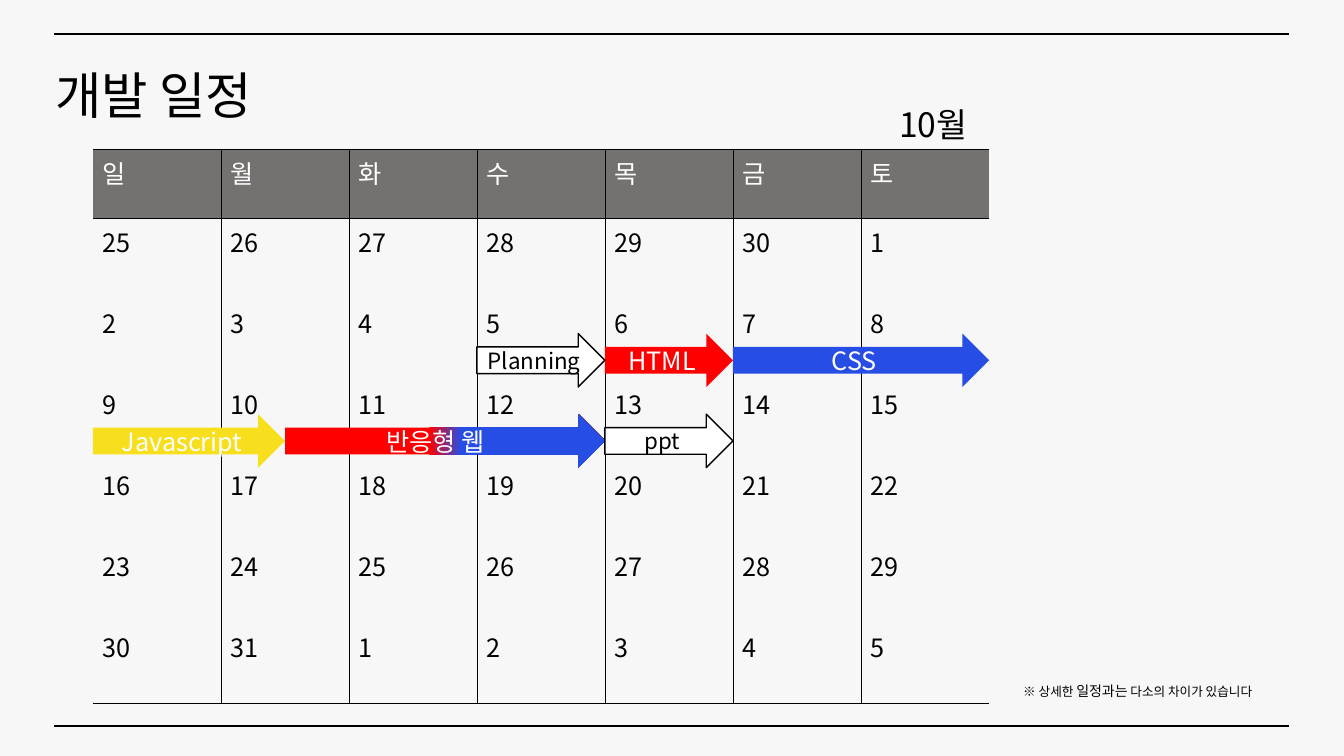
"""Build a slide with the October development calendar."""
from dataclasses import dataclass
from typing import Any, Optional

import lxml.etree
import pptx
import pptx.dml.color
import pptx.enum.shapes
import pptx.enum.text
import pptx.oxml.ns
import pptx.util

Color = pptx.dml.color.RGBColor
Anchor = pptx.enum.text.MSO_ANCHOR
Align = pptx.enum.text.PP_ALIGN
inch = pptx.util.Inches
qn = pptx.oxml.ns.qn

BLACK = Color(0x00, 0x00, 0x00)
WHITE = Color(0xFF, 0xFF, 0xFF)
PAPER = Color(0xF7, 0xF7, 0xF7)
GRAY = Color(0x76, 0x71, 0x71)
RED = Color(0xFF, 0x00, 0x00)
BLUE = Color(0x26, 0x4D, 0xE4)
YELLOW = Color(0xF7, 0xDF, 0x1E)

FACE = "Noto Sans CJK KR"
WIDE, HIGH = 13.33, 7.5
LEFT, TOP = 0.92, 1.48
COL, HEAD, DATE, GAP = 1.27, 0.69, 0.46, 0.34
WEEK = DATE + GAP
BAR = 0.53
DAYS = "일월화수목금토"
WEEKS = 6
FIRST = 25
SEPT, OCT = 30, 31
PLAIN = "{2D5ABB26-0587-4C30-8999-92F81FD0307C}"


@dataclass
class Task:
    """A bar that spans days of one week, counted from zero."""

    name: str
    week: int
    start: float
    end: float
    fill: Color
    fade: Optional[Color] = None
    size: int = 18
    ink: Color = WHITE
    edge: bool = False


@dataclass
class Label:
    """A text box placed by its left, top, width and height in inches."""

    box: tuple[float, float, float, float]
    words: list[tuple[str, int]]


TASKS = [
    Task("HTML", 1, 4, 5, RED),
    Task("CSS", 1, 5, 7, BLUE),
    Task("Planning", 1, 3, 4, WHITE, size=16, ink=BLACK, edge=True),
    Task("Javascript", 2, 0, 1.5, YELLOW),
    Task("반응형 웹 ", 2, 1.5, 4, RED, fade=BLUE),
    Task("ppt", 2, 4, 5, WHITE, size=16, ink=BLACK, edge=True),
]

LABELS = [
    Label((8.82, 0.98, 0.99, 0.5), [("10월", 24)]),
    Label((10.05, 6.72, 2.72, 0.27),
          [("※ 상세한 ", 9), ("일정과는", 10), (" 다소의 차이가 있습니다", 9)]),
]


def style(font: Any, size: int, ink: Color) -> None:
    """Set size, colour and both Latin and Korean faces."""
    font.size = pptx.util.Pt(size)
    font.bold = False
    font.color.rgb = ink
    font.name = FACE
    lxml.etree.SubElement(font._element, qn("a:ea"), typeface=FACE)


def rule(slide: Any, y: float) -> None:
    """Draw one line across the slide."""
    line = slide.shapes.add_connector(
        pptx.enum.shapes.MSO_CONNECTOR.STRAIGHT,
        inch(0.54), inch(y), inch(12.78), inch(y))
    line.line.color.rgb = BLACK
    line.line.width = pptx.util.Pt(1.5)
    lxml.etree.SubElement(line._element.spPr, qn("a:effectLst"))


def title(slide: Any, text: str) -> None:
    """Place and format the title."""
    shape = slide.shapes.title
    shape.left, shape.top = inch(0.45), inch(0.59)
    shape.width, shape.height = inch(2.39), inch(0.71)
    frame = shape.text_frame
    frame.text = text
    frame.word_wrap = False
    frame.auto_size = pptx.enum.text.MSO_AUTO_SIZE.NONE
    frame.vertical_anchor = Anchor.TOP
    frame.paragraphs[0].alignment = Align.LEFT
    style(frame.paragraphs[0].font, 36, BLACK)


def border(cell: Any, tag: str, width: float) -> None:
    """Draw one cell edge, or hide it when the width is zero."""
    edge = lxml.etree.SubElement(
        cell._tc.get_or_add_tcPr(), qn(f"a:{tag}"), w=str(pptx.util.Pt(width)))
    if width:
        fill = lxml.etree.SubElement(edge, qn("a:solidFill"))
        lxml.etree.SubElement(fill, qn("a:srgbClr"), val=str(BLACK))
    else:
        lxml.etree.SubElement(edge, qn("a:noFill"))


def write(cell: Any, row: int, col: int) -> None:
    """Fill one calendar cell with its day name, date or gap."""
    para = cell.text_frame.paragraphs[0]
    if row == 0:
        para.text = DAYS[col]
    elif row % 2:
        day = FIRST + row // 2 * len(DAYS) + col
        if day > SEPT:
            day = (day - SEPT - 1) % OCT + 1
        para.text = str(day)
    else:
        cell.margin_top = cell.margin_bottom = 0
    blank = row > 0 and row % 2 == 0
    style(para.font, 10 if blank else 18, BLACK if row else WHITE)
    border(cell, "lnL", 0.25 if col else 0)
    border(cell, "lnR", 0.25 if col < len(DAYS) - 1 else 0)
    border(cell, "lnT", 1 if row < 2 else 0)
    border(cell, "lnB", 1 if row in (0, 2 * WEEKS) else 0)
    if row:
        cell.fill.background()
    else:
        cell.fill.solid()
        cell.fill.fore_color.rgb = GRAY


def month(slide: Any) -> None:
    """Add the calendar table."""
    highs = [HEAD] + [DATE, GAP] * WEEKS
    frame = slide.shapes.add_table(
        len(highs), len(DAYS), inch(LEFT), inch(TOP),
        inch(COL * len(DAYS)), inch(sum(highs)))
    table = frame.table
    table.first_row = table.horz_banding = False
    table._tbl.tblPr.find(qn("a:tableStyleId")).text = PLAIN
    for col in table.columns:
        col.width = inch(COL)
    for row, high in enumerate(highs):
        table.rows[row].height = inch(high)
        for col in range(len(DAYS)):
            write(table.cell(row, col), row, col)


def blend(shape: Any, start: Color, end: Color) -> None:
    """Fill a shape with a sharp turn from one colour to another."""
    shape.fill.gradient()
    shape.fill.gradient_angle = 0
    stops = shape._element.spPr.find(qn("a:gradFill")).find(qn("a:gsLst"))
    for old in list(stops):
        stops.remove(old)
    for share, color in ((0, start), (45, start), (55, end), (100, end)):
        stop = lxml.etree.SubElement(stops, qn("a:gs"), pos=str(share * 1000))
        lxml.etree.SubElement(stop, qn("a:srgbClr"), val=str(color))


def draw(slide: Any, task: Task) -> None:
    """Draw one task as an arrow on the calendar."""
    shape = slide.shapes.add_shape(
        pptx.enum.shapes.MSO_SHAPE.RIGHT_ARROW,
        inch(LEFT + task.start * COL),
        inch(TOP + HEAD + task.week * WEEK + GAP),
        inch((task.end - task.start) * COL), inch(BAR))
    shape.shadow.inherit = False
    if task.fade is None:
        shape.fill.solid()
        shape.fill.fore_color.rgb = task.fill
    else:
        blend(shape, task.fill, task.fade)
    if task.edge:
        shape.line.color.rgb = BLACK
        shape.line.width = pptx.util.Pt(1)
    else:
        shape.line.fill.background()
    shape.text_frame.vertical_anchor = Anchor.MIDDLE
    para = shape.text_frame.paragraphs[0]
    para.text = task.name
    para.alignment = Align.CENTER
    style(para.font, task.size, task.ink)


def note(slide: Any, label: Label) -> None:
    """Add one text box."""
    frame = slide.shapes.add_textbox(*map(inch, label.box)).text_frame
    frame.word_wrap = False
    para = frame.paragraphs[0]
    style(para.font, label.words[0][1], BLACK)
    for text, size in label.words:
        run = para.add_run()
        run.text = text
        run.font.size = pptx.util.Pt(size)


def main() -> None:
    """Build and save the deck."""
    deck = pptx.Presentation()
    deck.slide_width, deck.slide_height = inch(WIDE), inch(HIGH)
    slide = deck.slides.add_slide(deck.slide_layouts.get_by_name("Title Only"))
    slide.background.fill.solid()
    slide.background.fill.fore_color.rgb = PAPER
    for y in (0.34, 7.2):
        rule(slide, y)
    title(slide, "개발 일정")
    month(slide)
    for task in TASKS:
        draw(slide, task)
    for label in LABELS:
        note(slide, label)
    deck.save("out.pptx")


if __name__ == "__main__":
    main()
